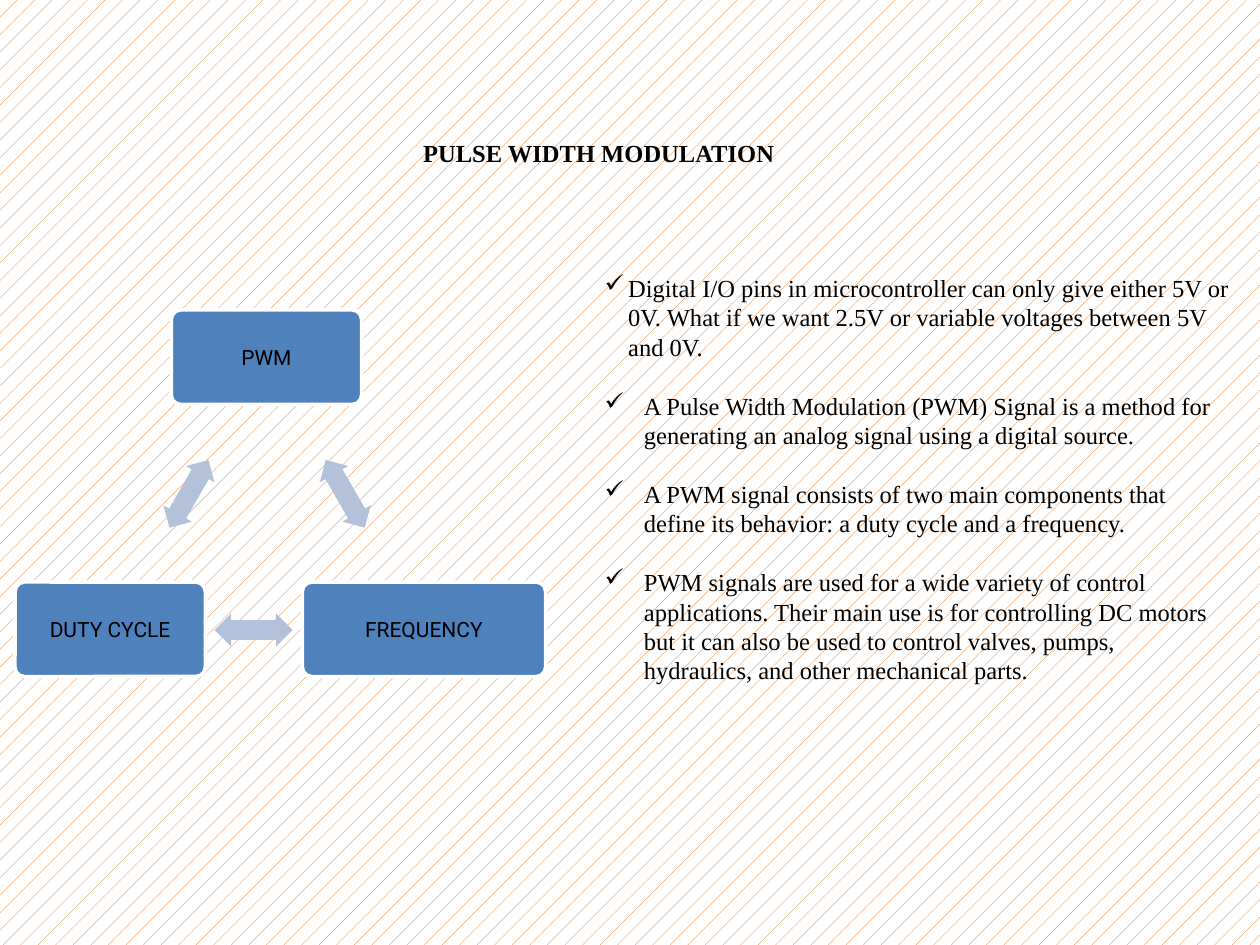
from pptx import Presentation
from pptx.dml.color import RGBColor
from pptx.enum.dml import MSO_PATTERN
from pptx.enum.shapes import MSO_SHAPE as Shape
from pptx.enum.text import MSO_ANCHOR as Anchor, PP_ALIGN as Align
from pptx.oxml.ns import qn
from pptx.util import Pt
from lxml.etree import SubElement

BLACK = RGBColor(0, 0, 0)
WHITE = RGBColor(255, 255, 255)
BLUE = RGBColor(0x4F, 0x81, 0xBD)
PALE = RGBColor(0xB3, 0xC1, 0xDB)
ORANGE = RGBColor(0xE4, 0x6C, 0x0A)
SERIF, SANS = "Times New Roman", "Roboto"

TITLE = "PULSE WIDTH MODULATION"
# label, left, top, width
BOXES = [
    ("PWM", 97.9, 177.1, 108.7),
    ("FREQUENCY", 172.8, 332.6, 139),
    ("DUTY CYCLE", 8.6, 332.6, 108.7),
]
BOX_H = 54
# centre x, centre y, rotation
ARROWS = [(197.3, 282.2, 60), (144.9, 360, 180), (108, 282.2, 300)]
ARROW_W, ARROW_H = 44.6, 18.7
# indent, text
POINTS = [
    (13.5, "Digital I/O pins in microcontroller can only give either 5V or 0V. "
           "What if we want 2.5V or variable voltages between 5V and 0V."),
    (22.5, "A Pulse Width Modulation (PWM) Signal is a method for generating "
           "an analog signal using a digital source."),
    (22.5, "A PWM signal consists of two main components that define its "
           "behavior: a duty cycle and a frequency."),
    (22.5, "PWM signals are used for a wide variety of control applications. "
           "Their main use is for controlling DC motors but it can also be used "
           "to control valves, pumps, hydraulics, and other mechanical parts."),
]
LINE = 16.8

deck = Presentation()
deck.slide_width, deck.slide_height = Pt(720), Pt(540)
slide = deck.slides.add_slide(deck.slide_layouts[6])
back = slide.background.fill
back.patterned()
back.pattern = MSO_PATTERN.PERCENT_5
back.fore_color.rgb = ORANGE
back.back_color.rgb = WHITE


def add_form(kind, x, y, w, h, color):
    form = slide.shapes.add_shape(kind, Pt(x), Pt(y), Pt(w), Pt(h))
    form.shadow.inherit = False
    form.fill.solid()
    form.fill.fore_color.rgb = color
    return form


def add_frame(x, y, w, h):
    frame = slide.shapes.add_textbox(Pt(x), Pt(y), Pt(w), Pt(h)).text_frame
    frame.word_wrap = True
    return frame


def add_run(para, text, face, size, bold=False):
    run = para.add_run()
    run.text = text
    font = run.font
    font.name, font.size, font.bold = face, Pt(size), bold
    font.color.rgb = BLACK


def set_bullet(para, indent):
    props = para._p.get_or_add_pPr()
    props.set("marL", str(Pt(indent)))
    props.set("indent", str(-Pt(indent)))
    SubElement(props, qn("a:buChar"), char="✓")


for label, x, y, w in BOXES:
    box = add_form(Shape.ROUNDED_RECTANGLE, x, y, w, BOX_H, BLUE)
    box.adjustments[0] = 0.1
    box.line.color.rgb = WHITE
    box.line.width = Pt(2)
    frame = box.text_frame
    frame.word_wrap = True
    frame.vertical_anchor = Anchor.MIDDLE
    frame.margin_left = frame.margin_right = Pt(3.6)
    para = frame.paragraphs[0]
    para.alignment = Align.CENTER
    add_run(para, label, SANS, 12)

for x, y, turn in ARROWS:
    arrow = add_form(Shape.LEFT_RIGHT_ARROW, x - ARROW_W / 2, y - ARROW_H / 2,
                     ARROW_W, ARROW_H, PALE)
    arrow.adjustments[0], arrow.adjustments[1] = 0.6, 0.5
    arrow.line.fill.background()
    arrow.rotation = turn

frame = add_frame(338.4, 118.8, 371.5, 312.5)
frame.margin_top = Pt(3.6 + 2 * LINE)
for i, (indent, text) in enumerate(POINTS):
    para = frame.add_paragraph() if i else frame.paragraphs[0]
    if i:
        para.space_before = Pt(LINE)
    set_bullet(para, indent)
    add_run(para, text, SERIF, 14)

frame = add_frame(234.7, 75.6, 249.1, 24.5)
add_run(frame.paragraphs[0], TITLE, SERIF, 14, bold=True)

deck.save("out.pptx")
